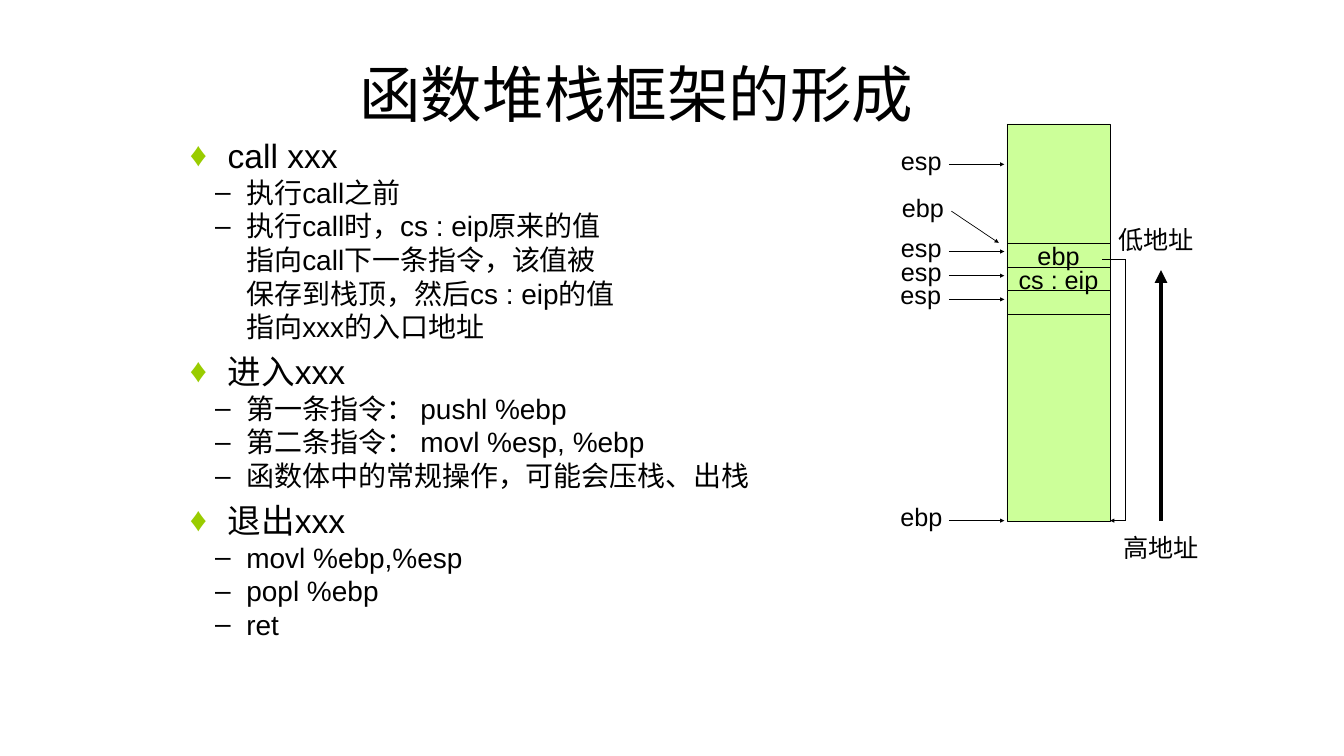
from lxml import etree
from pptx import Presentation
from pptx.dml.color import RGBColor
from pptx.enum.shapes import MSO_CONNECTOR as CONNECTOR, MSO_SHAPE as SHAPE
from pptx.enum.text import MSO_ANCHOR as ANCHOR, MSO_AUTO_SIZE as AUTO_SIZE, PP_ALIGN as ALIGN
from pptx.oxml.ns import qn
from pptx.util import Pt

PX = 9144  # 100 px to the inch
BLACK = RGBColor(0x00, 0x00, 0x00)
STACK_GREEN = RGBColor(0xCC, 0xFF, 0x99)
BULLET_GREEN = RGBColor(0x99, 0xCC, 0x00)
LATIN_FONT, CHINESE_FONT = "Arial", "Noto Sans CJK SC"


def write(paragraph, text, size):
    """Write text with a Latin and a Chinese font; \n is a line break."""
    for index, line in enumerate(text.split("\n")):
        if index:
            paragraph.add_line_break()
        run = paragraph.add_run()
        run.text = line
        for name, value in {"name": LATIN_FONT, "size": Pt(size)}.items():
            setattr(run.font, name, value)
        run.font.color.rgb = BLACK
        east_asian = etree.SubElement(run.font._element, qn("a:ea"))
        east_asian.set("typeface", CHINESE_FONT)


def add_line(start, end, width=1, arrow=None):
    """Draw a black line; arrow is headEnd (at start) or tailEnd (at end)."""
    line = slide.shapes.add_connector(
        CONNECTOR.STRAIGHT, *(value * PX for value in start + end))
    line.line.color.rgb = BLACK
    line.line.width = Pt(width)
    if arrow:
        etree.SubElement(line.line._get_or_add_ln(), qn("a:" + arrow)).set("type", "triangle")
    etree.SubElement(line._element.spPr, qn("a:effectLst"))


presentation = Presentation()
presentation.slide_width, presentation.slide_height = 2667 * PX, 1500 * PX
slide = presentation.slides.add_slide(presentation.slide_layouts[5])

margins = {f"margin_{side}": 10 * PX for side in ("left", "top", "right", "bottom")}

# Title
title = slide.shapes.title
for name, value in {"left": 703, "top": 60, "width": 1530, "height": 250}.items():
    setattr(title, name, value * PX)
frame_format = {"vertical_anchor": ANCHOR.MIDDLE, "auto_size": AUTO_SIZE.NONE,
                "word_wrap": True, **margins}
for name, value in frame_format.items():
    setattr(title.text_frame, name, value)
paragraph = title.text_frame.paragraphs[0]
paragraph.alignment = ALIGN.LEFT
write(paragraph, "函数堆栈框架的形成", 88)

# Outline: level and text
outline = [
    (0, "call xxx"),
    (1, "执行call之前"),
    (1, "执行call时，cs : eip原来的值\n指向call下一条指令，该值被\n"
        "保存到栈顶，然后cs : eip的值\n指向xxx的入口地址"),
    (0, "进入xxx"),
    (1, "第一条指令： pushl %ebp"),
    (1, "第二条指令： movl %esp, %ebp"),
    (1, "函数体中的常规操作，可能会压栈、出栈"),
    (0, "退出xxx"),
    (1, "movl %ebp,%esp"),
    (1, "popl %ebp"),
    (1, "ret"),
]
# Per level: size, space before, left margin, hanging indent, bullet, its colour
levels = [(48, 11, 75, 75, "♦", BULLET_GREEN), (40, 0, 112, 62, "–", BLACK)]
body = slide.shapes.add_textbox(367 * PX, 258 * PX, 1800 * PX, 1142 * PX)
for name, value in {"word_wrap": True, **margins}.items():
    setattr(body.text_frame, name, value)
for index, (level, text) in enumerate(outline):
    size, space, margin, hanging, bullet, colour = levels[level]
    paragraph = body.text_frame.add_paragraph() if index else body.text_frame.paragraphs[0]
    paragraph_format = {"level": level, "space_before": Pt(space),
                        "line_spacing": Pt(size * 1.2), "alignment": ALIGN.LEFT}
    for name, value in paragraph_format.items():
        setattr(paragraph, name, value)
    properties = paragraph._p.get_or_add_pPr()
    properties.set("marL", str(margin * PX))
    properties.set("indent", str(-hanging * PX))
    bullet_colour = etree.SubElement(properties, qn("a:buClr"))
    etree.SubElement(bullet_colour, qn("a:srgbClr")).set("val", str(colour))
    etree.SubElement(properties, qn("a:buFont")).set("typeface", LATIN_FONT)
    etree.SubElement(properties, qn("a:buChar")).set("char", bullet)
    write(paragraph, text, size)

# Stack cells, from the high addresses up: top, bottom, content
stack_left, stack_width, stack_bottom = 1998, 205, 1033
cells = [(624, 1034, ""), (577, 624, ""), (530, 577, "cs : eip"),
         (482, 530, "ebp"), (246, 482, "")]
for top, bottom, content in cells:
    cell = slide.shapes.add_shape(SHAPE.RECTANGLE, stack_left * PX, top * PX,
                                  stack_width * PX, (bottom - top) * PX)
    cell.shadow.inherit = False
    cell.fill.solid()
    cell.fill.fore_color.rgb = STACK_GREEN
    cell.line.color.rgb = BLACK
    cell.line.width = Pt(1)
    if content:
        cell_format = {"vertical_anchor": ANCHOR.MIDDLE, "word_wrap": False, **margins}
        for name, value in cell_format.items():
            setattr(cell.text_frame, name, value)
        paragraph = cell.text_frame.paragraphs[0]
        paragraph.alignment = ALIGN.CENTER
        write(paragraph, content, 36)

# Register and address labels: text, left, top, width, height
labels = [("esp", 1778, 278, 102, 77), ("ebp", 1780, 372, 105, 77),
          ("esp", 1778, 451, 102, 77), ("esp", 1778, 498, 102, 77),
          ("esp", 1777, 545, 102, 77), ("ebp", 1777, 985, 105, 77),
          ("低地址", 2209, 435, 171, 89), ("高地址", 2219, 1046, 171, 89)]
for text, *box in labels:
    label = slide.shapes.add_textbox(*(value * PX for value in box))
    label_format = {"word_wrap": False, "auto_size": AUTO_SIZE.SHAPE_TO_FIT_TEXT, **margins}
    for name, value in label_format.items():
        setattr(label.text_frame, name, value)
    write(label.text_frame.paragraphs[0], text, 36)

# Register pointers
for y in (326, 499, 547, 594, stack_bottom):
    add_line((1883, y), (1993, y), arrow="tailEnd")
add_line((1888, 419), (1982, 482), arrow="tailEnd")

# Saved ebp points back to the old frame
add_line((2187, 514), (2234, 514))
add_line((2234, 514), (2234, stack_bottom))
add_line((2234, stack_bottom), (2203, stack_bottom), arrow="tailEnd")

# Direction from high to low addresses
add_line((2304, 536), (2304, stack_bottom), width=6, arrow="headEnd")

presentation.save("out.pptx")
